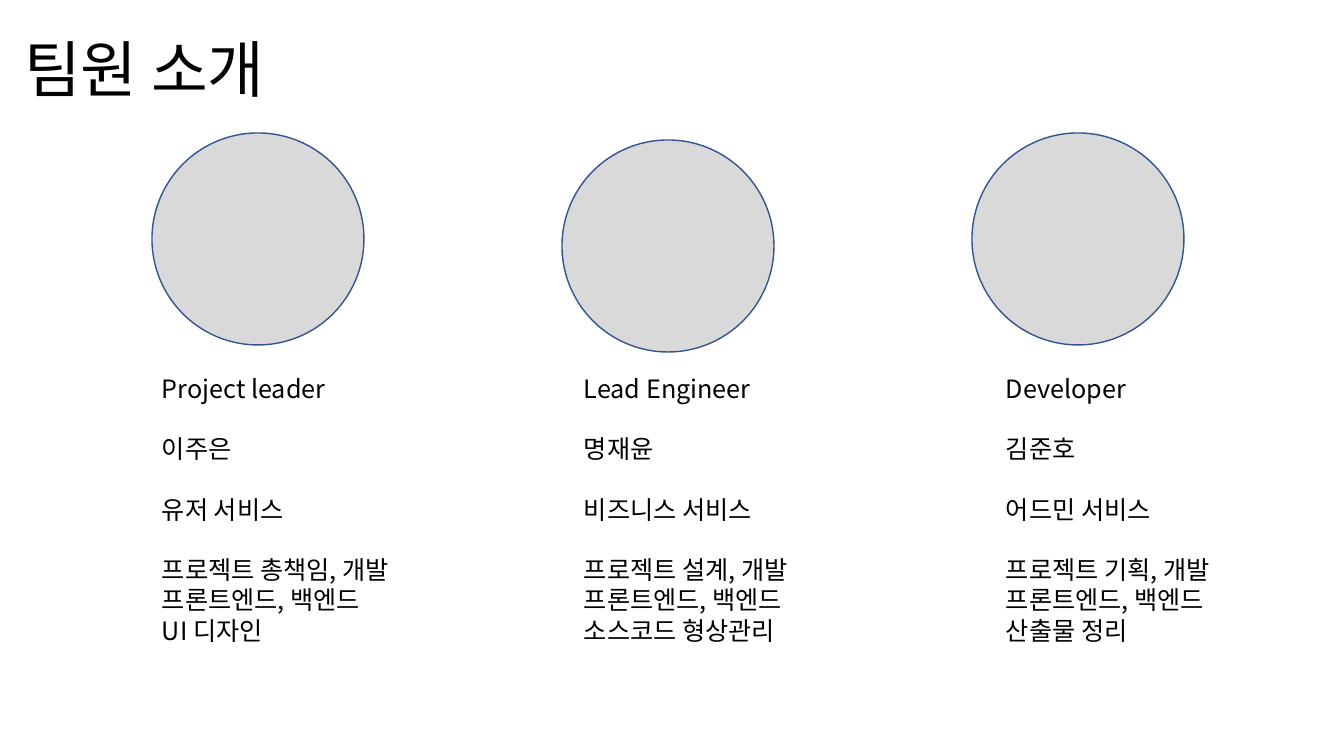
"""Build the team introduction slide."""
from lxml import etree
from pptx import Presentation
from pptx import util as u
from pptx.dml.color import RGBColor
from pptx.enum import shapes, text
from pptx.oxml.ns import qn

HEADING = "팀원 소개"
MEMBERS = [
    ("Project leader", "이주은", "유저 서비스",
     ["프로젝트 총책임, 개발", "프론트엔드, 백엔드", "UI 디자인"]),
    ("Lead Engineer", "명재윤", "비즈니스 서비스",
     ["프로젝트 설계, 개발", "프론트엔드, 백엔드", "소스코드 형상관리"]),
    ("Developer", "김준호", "어드민 서비스",
     ["프로젝트 기획, 개발", "프론트엔드, 백엔드", "산출물 정리"]),
]
THEME = {
    "font": "Noto Sans CJK KR", "ink": "000000",
    "portrait": "D9D9D9", "outline": "325491",
    "heading_size": 44, "body_size": 18, "blank_line": 21.6,
}
LEFT, PORTRAIT_STEP, PROFILE_STEP = 152, 410, 422
PORTRAIT_TOPS, DIAMETER = (133, 140, 133), 212
PROFILE_TOP, PROFILE_WIDTH, PROFILE_HEIGHT = 368, 273, 285


def px(length):
    return round(length * 914400 / 100.8)


def color(name):
    return RGBColor.from_string(THEME[name])


def apply(target, formats):
    for name, value in formats.items():
        setattr(target, name, value)


def add_text(box, lines, size, frame_format, line_format):
    """Write (wording, points before) lines into a new text box."""
    frame = slide.shapes.add_textbox(*map(px, box)).text_frame
    apply(frame, {"word_wrap": True, **frame_format})
    for index, (wording, gap) in enumerate(lines):
        line = frame.add_paragraph() if index else frame.paragraphs[0]
        apply(line, {"space_before": u.Pt(gap), **line_format})
        run = line.add_run()
        run.text = wording
        apply(run.font, {"name": THEME["font"], "size": u.Pt(size)})
        run.font.color.rgb = color("ink")
        etree.SubElement(run.font._element, qn("a:ea"), typeface=THEME["font"])


def add_portrait(left, top):
    portrait = slide.shapes.add_shape(
        shapes.MSO_SHAPE.OVAL, px(left), px(top), px(DIAMETER), px(DIAMETER))
    portrait.shadow.inherit = False
    portrait.fill.solid()
    portrait.fill.fore_color.rgb = color("portrait")
    portrait.line.color.rgb = color("outline")
    portrait.line.width = u.Pt(1)


deck = Presentation()
apply(deck, {"slide_width": px(1344), "slide_height": px(756)})
slide = deck.slides.add_slide(deck.slide_layouts[6])

add_text((0, 0, 1159, 146), [(HEADING, 0)], THEME["heading_size"],
         {"vertical_anchor": text.MSO_ANCHOR.MIDDLE, "margin_left": px(24)},
         {"line_spacing": 0.9})

for column, top in enumerate(PORTRAIT_TOPS):
    add_portrait(LEFT + column * PORTRAIT_STEP, top)

for column, (role, member, service, duties) in enumerate(MEMBERS):
    gap = THEME["blank_line"]
    lines = [(role, 0), (member, gap), (service, gap), (duties[0], gap)]
    lines += [(duty, 0) for duty in duties[1:]]
    add_text((LEFT + column * PROFILE_STEP, PROFILE_TOP, PROFILE_WIDTH, PROFILE_HEIGHT),
             lines, THEME["body_size"], {}, {})

deck.save("out.pptx")
